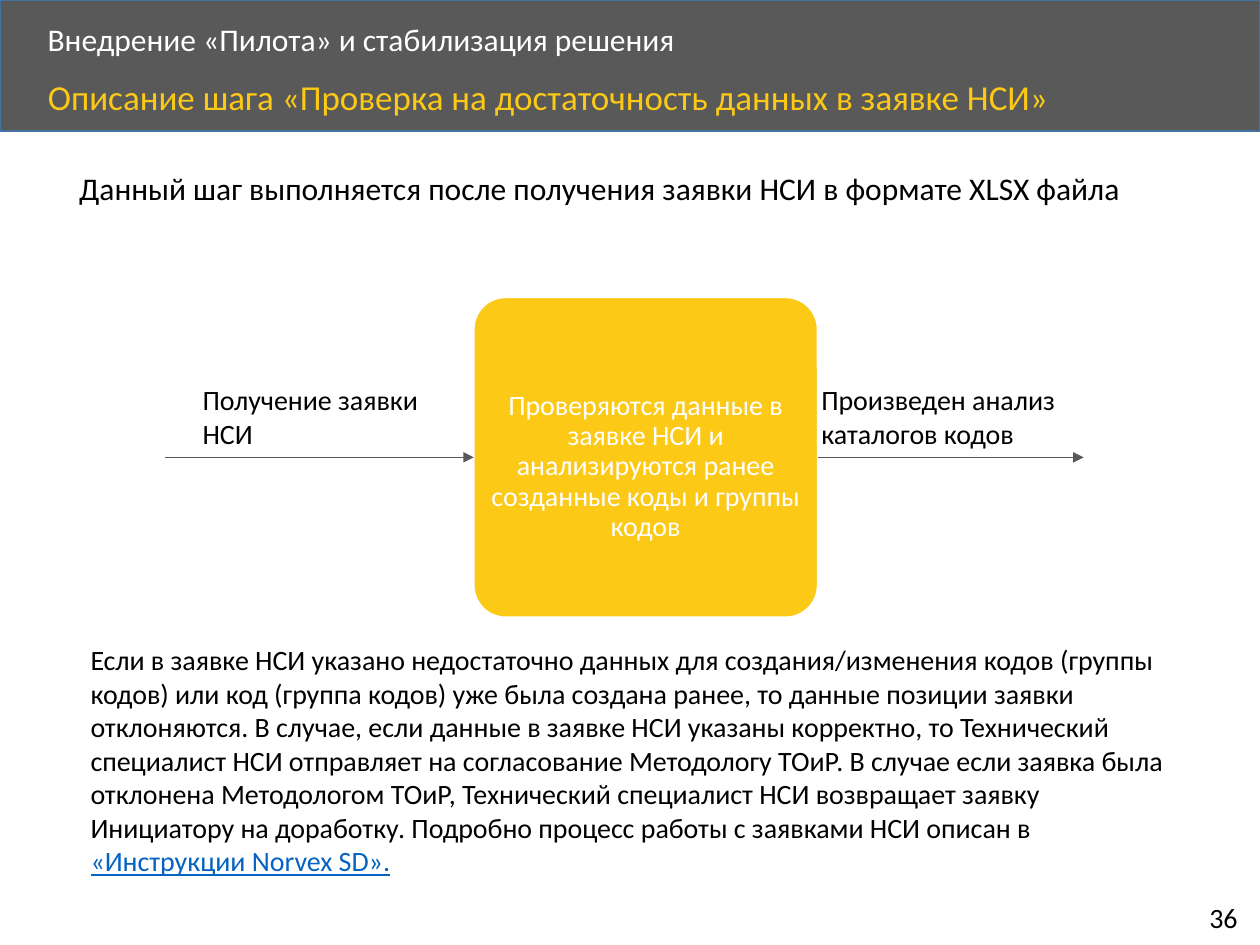
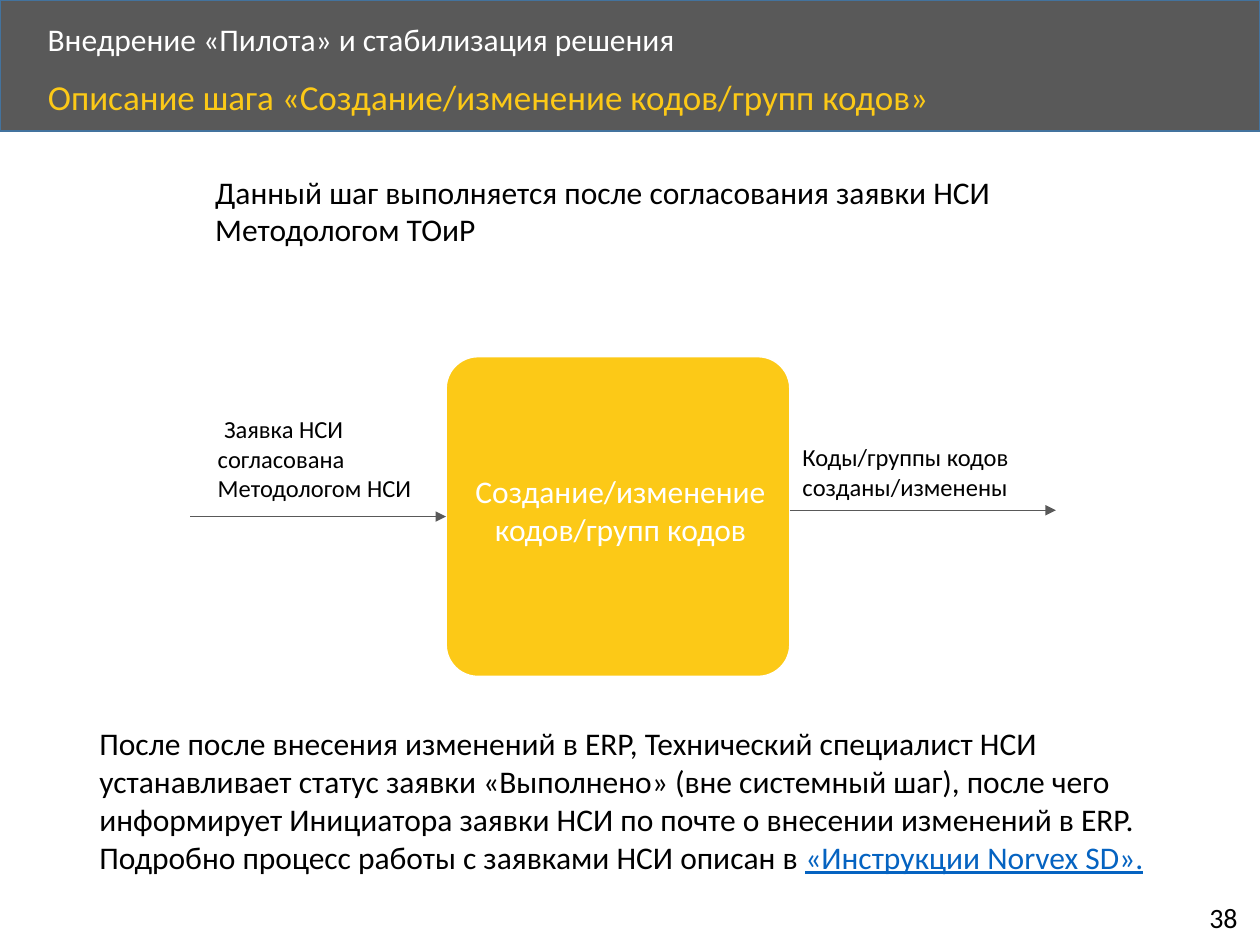
from lxml.etree import SubElement
from pptx import Presentation
from pptx.dml.color import RGBColor
from pptx.enum.shapes import MSO_CONNECTOR, MSO_SHAPE
from pptx.enum.text import MSO_ANCHOR, PP_ALIGN
from pptx.oxml.ns import qn
from pptx.util import Inches, Pt

GREY = RGBColor(0x59, 0x59, 0x59)
EDGE = RGBColor(0x43, 0x73, 0x9E)
GOLD = RGBColor(0xFC, 0xC9, 0x17)
LINK = RGBColor(0x05, 0x63, 0xC1)
WHITE = RGBColor(255, 255, 255)
BLACK = RGBColor(0, 0, 0)

FONT = "Calibri"
COLS, ROWS = 100, 75
CELL = Inches(0.1)
PAD = (1, 0.5, 1, 0.5)
HEAD = "Внедрение «Пилота» и стабилизация решения"
GUIDE = "«Инструкции Norvex SD»."


def grid(*cells):
    """Turn grid cells into slide lengths."""
    return [round(cell * CELL) for cell in cells]


def write(shape, words, size=16, color=BLACK, align=PP_ALIGN.LEFT, lead=1.0,
          anchor=MSO_ANCHOR.TOP, pad=PAD, wrap=True, indent=0, link=""):
    """Fill a shape with one paragraph, ended by an underlined link if given."""
    frame = shape.text_frame
    frame.word_wrap = wrap
    frame.vertical_anchor = anchor
    (frame.margin_left, frame.margin_top,
     frame.margin_right, frame.margin_bottom) = grid(*pad)
    para = frame.paragraphs[0]
    para.alignment = align
    para.line_spacing = lead
    if indent:
        para._p.get_or_add_pPr().set("indent", str(grid(indent)[0]))
    for part, tone in ((words, color), (link, LINK)):
        if part:
            run = para.add_run()
            run.text = part
            run.font.name = FONT
            run.font.size = Pt(size)
            run.font.color.rgb = tone
            run.font.underline = tone == LINK


def label(slide, box, words, **style):
    write(slide.shapes.add_textbox(*grid(*box)), words, **style)


def block(slide, kind, box, fill, edge):
    shape = slide.shapes.add_shape(kind, *grid(*box))
    shape.shadow.inherit = False
    shape.fill.solid()
    shape.fill.fore_color.rgb = fill
    shape.line.color.rgb = edge
    shape.line.width = Pt(1)
    return shape


def arrow(slide, left, right, row):
    line = slide.shapes.add_connector(
        MSO_CONNECTOR.STRAIGHT, *grid(left, row, right, row))
    line.line.color.rgb = GREY
    line.line.width = Pt(0.5)
    SubElement(line.line._get_or_add_ln(), qn("a:tailEnd"), type="triangle")
    SubElement(line._element.spPr, qn("a:effectLst"))


def page(deck, name, number):
    """Add a slide with the shared band, heading, title and page number."""
    slide = deck.slides.add_slide(deck.slide_layouts[5])
    block(slide, MSO_SHAPE.RECTANGLE, (0, 0, COLS, 10.4), GREY, EDGE)
    label(slide, (2.8, 1.4, 80.7, 3.8), HEAD, size=18, color=WHITE,
          lead=0.9, anchor=MSO_ANCHOR.MIDDLE)
    label(slide, (95, 71, 4.6, 3.7), number, wrap=False)
    title = slide.shapes.title
    title.left, title.top, title.width, title.height = grid(2.8, 5.9, 86.7, 4.5)
    write(title, name, size=20, color=GOLD, lead=0.9)
    title.element.getparent().append(title.element)  # above the band
    return slide


def step(slide, box, words, style, enter, leave):
    """Draw the step with its two arrows.

    enter and leave hold the arrow's length, its shift from the middle row,
    the label's box relative to the step, the label's text and its format.
    """
    left, top, width, height = box
    right, middle = left + width, top + height / 2
    body = block(slide, MSO_SHAPE.ROUNDED_RECTANGLE, box, GOLD, WHITE)
    body.adjustments[0] = 0.1
    write(body, words, color=WHITE, align=PP_ALIGN.CENTER,
          anchor=MSO_ANCHOR.MIDDLE, **style)
    arrow(slide, left - enter[0], left, middle + enter[1])
    arrow(slide, right, right + leave[0], middle + leave[1])
    for _, _, (x, y, w, h), note, form in (enter, leave):
        label(slide, (left + x, top + y, w, h), note, **form)


def check(deck):
    slide = page(deck, "Описание шага «Проверка на достаточность данных "
                 "в заявке НСИ»", "36")
    label(slide, (5.3, 12.9, 88.8, 4), "Данный шаг выполняется после "
          "получения заявки НСИ в формате XLSX файла", size=18)
    step(slide, (37.6, 23.6, 27.3, 25.4),
         "Проверяются данные в заявке НСИ и анализируются ранее созданные "
         "коды и группы кодов",
         dict(lead=0.9, pad=(0.1, 1.6, 0.1, 0.1)),
         (24.5, 0, (-22.5, 6.3, 23.3, 6.4), "Получение заявки НСИ", {}),
         (21.1, 0, (26.6, 6.3, 25.3, 6.4),
          "Произведен анализ каталогов кодов", {}))
    label(slide, (6.2, 50.5, 88.8, 22.6),
          "Если в заявке НСИ указано недостаточно данных для "
          "создания/изменения кодов (группы кодов) или код (группа кодов) "
          "уже была создана ранее, то данные позиции заявки отклоняются. "
          "В случае, если данные в заявке НСИ указаны корректно, то "
          "Технический специалист НСИ отправляет на согласование Методологу "
          "ТОиР. В случае если заявка была отклонена Методологом ТОиР, "
          "Технический специалист НСИ возвращает заявку Инициатору на "
          "доработку. Подробно процесс работы c заявками НСИ описан в ",
          link=GUIDE)


def change(deck):
    slide = page(deck, "Описание шага «Создание/изменение кодов/групп кодов»",
                 "38")
    label(slide, (16.1, 13.2, 71.8, 7.1), "Данный шаг выполняется после "
          "согласования заявки НСИ Методологом ТОиР", size=18)
    step(slide, (35.4, 28.3, 27.3, 25.4),
         "Создание/изменение кодов/групп кодов",
         dict(size=18, pad=(0.5, 0.5, 0.1, 1.6)),
         (20.3, 0, (-19.1, 4.1, 18, 8.4),
          "Заявка НСИ согласована Методологом НСИ", dict(size=14, indent=0.5)),
         (21.1, -0.5, (27.3, 6.3, 21.9, 5.7),
          "Коды/группы кодов созданы/изменены", dict(size=14)))
    label(slide, (6.9, 57, 87.7, 16.2),
          "После после внесения изменений в ERP, Технический специалист НСИ "
          "устанавливает статус заявки «Выполнено» (вне системный шаг), "
          "после чего информирует Инициатора заявки НСИ по почте о внесении "
          "изменений в ERP. Подробно процесс работы c заявками НСИ описан в ",
          size=18, link=GUIDE)


def main():
    deck = Presentation()
    deck.slide_width, deck.slide_height = grid(COLS, ROWS)
    check(deck)
    change(deck)
    deck.save("out.pptx")


if __name__ == "__main__":
    main()
